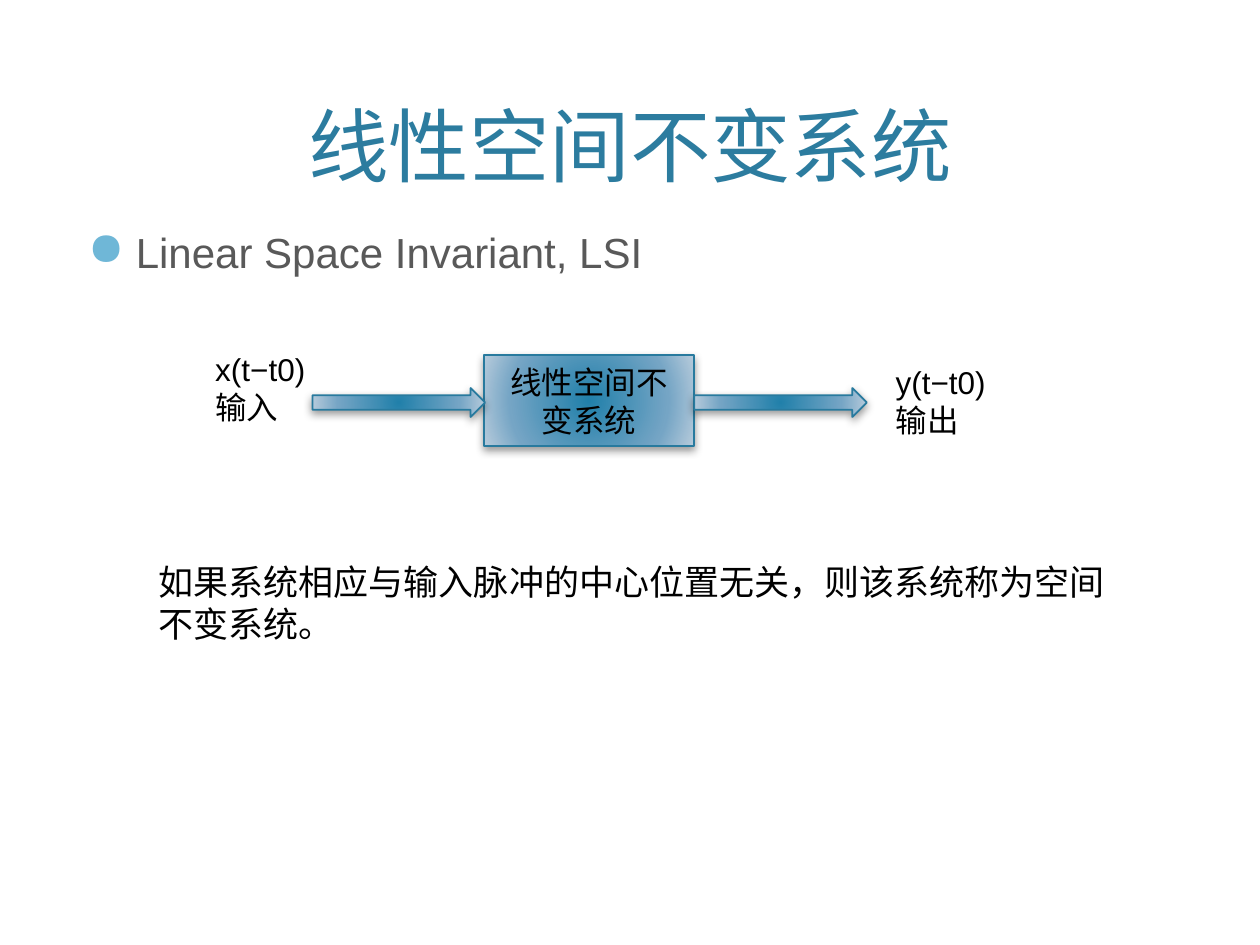
import dataclasses

import pptx
import pptx.dml.color
import pptx.enum.shapes
import pptx.enum.text
import pptx.oxml
import pptx.oxml.ns
import pptx.util

Inches = pptx.util.Inches
Pt = pptx.util.Pt
RGB = pptx.dml.color.RGBColor.from_string
SHAPE = pptx.enum.shapes.MSO_SHAPE
ALIGN = pptx.enum.text.PP_ALIGN
ANCHOR = pptx.enum.text.MSO_ANCHOR
AUTOSIZE = pptx.enum.text.MSO_AUTO_SIZE
NS = pptx.oxml.ns.nsdecls("a")


@dataclasses.dataclass(frozen=True)
class Theme:
    font: str = "Arial"
    title: str = "2C7C9F"
    body: str = "595959"
    text: str = "000000"
    bullet: str = "6FB7D7"
    line: str = "287A9E"
    shadow: str = "000000"
    gradient: tuple = ((0, "2180AA"), (69, "75A5C5"), (100, "B8CCDC"))
    title_size: int = 46
    body_size: int = 24
    note_size: int = 20
    label_size: int = 18


class SlideBuilder:
    def __init__(self, slide, theme):
        self.s = slide
        self.theme = theme

    def fill_text(self, tf, lines, size, color, align=ALIGN.LEFT):
        tf.word_wrap = True
        for i, line in enumerate(lines):
            p = tf.paragraphs[0] if i == 0 else tf.add_paragraph()
            p.alignment = align
            r = p.add_run()
            r.text = line
            font = {"name": self.theme.font, "size": Pt(size)}
            for name, value in font.items():
                setattr(r.font, name, value)
            r.font.color.rgb = RGB(color)

    def text(self, box, lines, size, color, align=ALIGN.LEFT, **frame):
        tf = self.s.shapes.add_textbox(*map(Inches, box)).text_frame
        self.fill_text(tf, lines, size, color, align)
        for name, value in frame.items():
            setattr(tf, name, value)
        return tf

    def bullet(self, box, line):
        tf = self.text(box, [line], self.theme.body_size, self.theme.body)
        pPr = tf.paragraphs[0]._p.get_or_add_pPr()
        indent = Inches(0.38)
        pPr.set("marL", str(indent))
        pPr.set("indent", str(-indent))
        for xml in (
            f'<a:buClr {NS}><a:srgbClr val="{self.theme.bullet}"/></a:buClr>',
            f'<a:buSzPct {NS} val="110000"/>',
            f'<a:buChar {NS} char="●"/>',
        ):
            pPr.append(pptx.oxml.parse_xml(xml))

    def block(self, kind, box):
        """Add a shape with the radial gradient, thin outline and soft shadow."""
        sp = self.s.shapes.add_shape(kind, *map(Inches, box))
        stops = "".join(
            f'<a:gs pos="{pos * 1000}"><a:srgbClr val="{color}"/></a:gs>'
            for pos, color in self.theme.gradient
        )
        spPr = sp._element.spPr
        spPr.append(pptx.oxml.parse_xml(
            f'<a:gradFill {NS} rotWithShape="1"><a:gsLst>{stops}</a:gsLst>'
            '<a:path path="circle"><a:fillToRect l="100000" t="100000" '
            'r="100000" b="100000"/></a:path></a:gradFill>'
        ))
        sp.line.color.rgb = RGB(self.theme.line)
        sp.line.width = Pt(1)
        sp.shadow.inherit = False
        spPr.find(pptx.oxml.ns.qn("a:effectLst")).append(pptx.oxml.parse_xml(
            f'<a:outerShdw {NS} blurRad="{Pt(5)}" dist="{Pt(2)}" '
            'dir="5400000" rotWithShape="0">'
            f'<a:srgbClr val="{self.theme.shadow}"><a:alpha val="40000"/>'
            '</a:srgbClr></a:outerShdw>'
        ))
        return sp

    def system(self, box, label):
        tf = self.block(SHAPE.RECTANGLE, box).text_frame
        tf.vertical_anchor = ANCHOR.MIDDLE
        self.fill_text(tf, [label], self.theme.label_size, self.theme.text,
                       ALIGN.CENTER)

    def arrow(self, box):
        self.block(SHAPE.RIGHT_ARROW, box)

    def label(self, box, lines):
        self.text(box, lines, self.theme.label_size, self.theme.text,
                  word_wrap=False, auto_size=AUTOSIZE.SHAPE_TO_FIT_TEXT)


def main():
    prs = pptx.Presentation()
    prs.slide_width, prs.slide_height = Inches(10), Inches(7.5)
    theme = Theme()
    slide = SlideBuilder(prs.slides.add_slide(prs.slide_layouts[6]), theme)

    name = "线性空间不变系统"
    slide.text((0.6, 0.12, 8.8, 1.46), [name], theme.title_size, theme.title,
               ALIGN.CENTER, vertical_anchor=ANCHOR.BOTTOM)
    slide.bullet((0.6, 1.75, 8.8, 4.75), "Linear Space Invariant, LSI")

    left, width, arrow_width = 3.84, 1.67, 1.37
    slide.system((left, 2.82, width, 0.72), name)
    for x in (left - arrow_width + 0.01, left + width):
        slide.arrow((x, 3.08, arrow_width, 0.23))

    slide.label((1.61, 2.73, 1.02, 0.71), ["x(t−t0)", "输入"])
    slide.label((7.01, 2.83, 1.03, 0.71), ["y(t−t0)", "输出"])
    slide.text((1.16, 4.4, 7.96, 0.77),
               ["如果系统相应与输入脉冲的中心位置无关，则该系统称为空间不变系统。"],
               theme.note_size, theme.text, auto_size=AUTOSIZE.SHAPE_TO_FIT_TEXT)
    prs.save("out.pptx")


if __name__ == "__main__":
    main()
